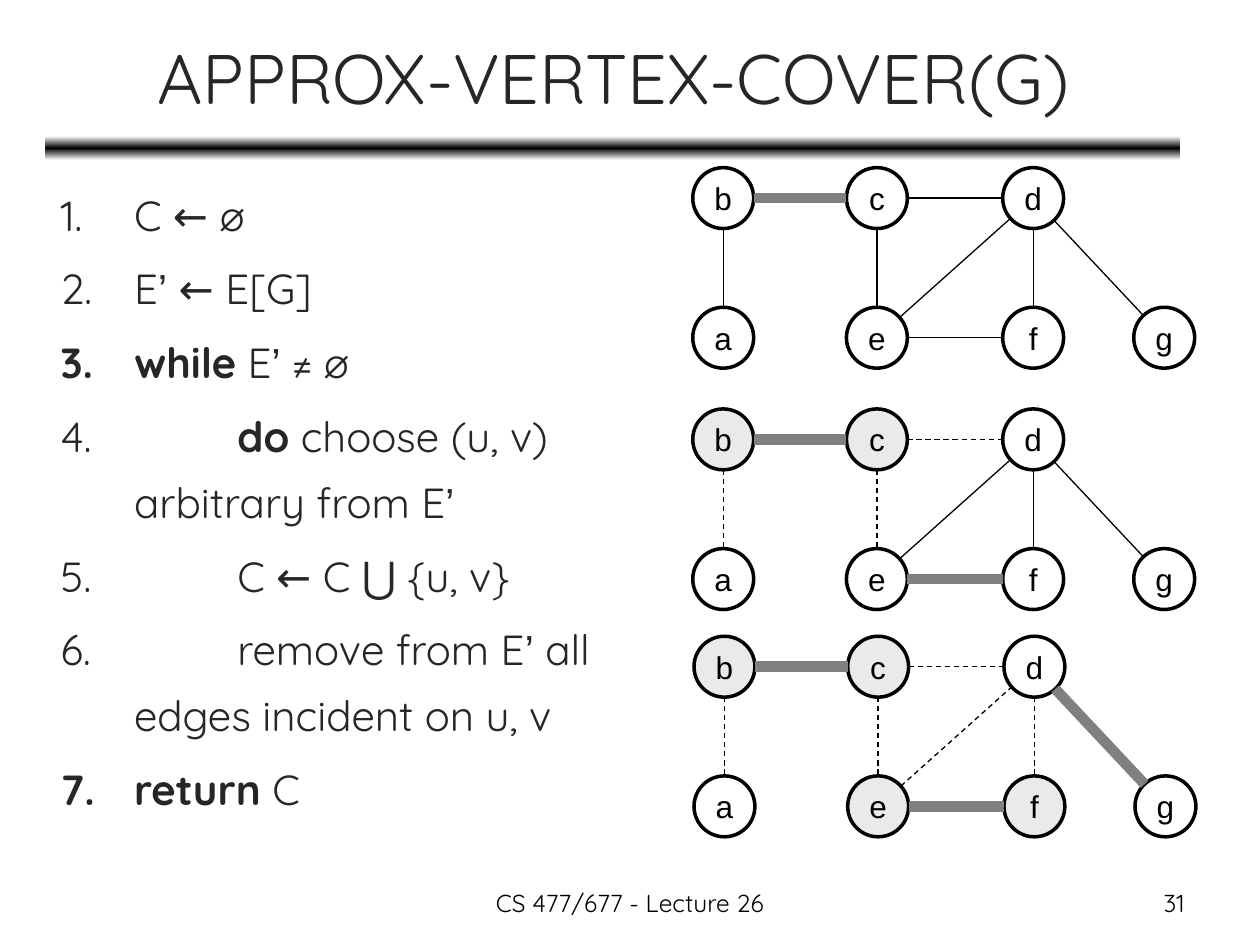
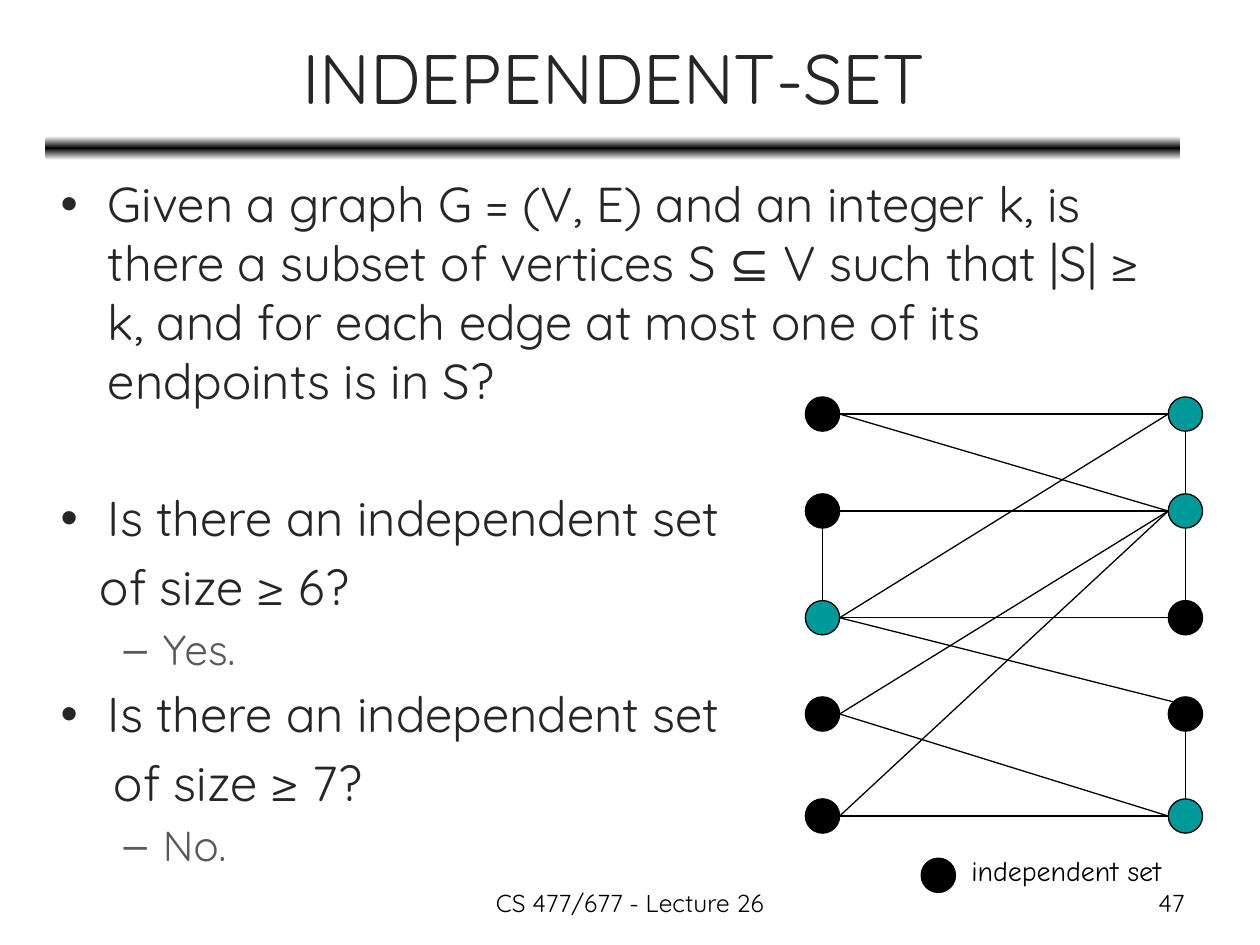
import math
from copy import deepcopy
from itertools import groupby

from pptx import Presentation
from pptx import util as u
from pptx.dml.color import RGBColor
from pptx.enum import dml, shapes, text
from pptx.oxml import ns
from pptx.oxml.xmlchemy import OxmlElement

Pt = u.Pt

# Shared look
BLACK = RGBColor(0x00, 0x00, 0x00)
WHITE = RGBColor(0xFF, 0xFF, 0xFF)
INK = RGBColor(0x26, 0x26, 0x26)
SOFT_INK = RGBColor(0x59, 0x59, 0x59)
GREY = RGBColor(0x80, 0x80, 0x80)
COVERED = RGBColor(0xEA, 0xEA, 0xEA)
TEAL = RGBColor(0x00, 0x99, 0x99)
MAIN_FONT, NODE_FONT, LEGEND_FONT = "Quicksand", "Arial", "Comic Neue"
FOOTER = "CS 477/677 - Lecture 26"
TITLE_BOX = (26.6, 8, 648, 71)
BAND_BOX = (26, 77.8, 648.7, 13.7)
FOOTER_BOX = (246, 504, 228, 25)
NUMBER_BOX = (516, 504, 168, 25)
CENTER, RIGHT = text.PP_ALIGN.CENTER, text.PP_ALIGN.RIGHT

# Algorithm steps: number, left edge, runs of (words, bold)
OUTER, INNER = 42, 101
STEPS = [
    (1, OUTER, [("C ← ∅", False)]),
    (2, OUTER, [("E’ ← E[G]", False)]),
    (3, OUTER, [("while", True), (" E’ ≠ ∅", False)]),
    # The plain space keeps the number of this step from turning bold
    (4, INNER - 6.5, [(" ", False), ("do", True), (" choose (u, v)", False)]),
    (None, OUTER, [("arbitrary from E’", False)]),
    (5, INNER, [("C ← C ⋃ {u, v}", False)]),
    (6, INNER, [("remove from E’ all", False)]),
    (None, OUTER, [("edges incident on u, v", False)]),
    (7, OUTER, [("return", True), (" C", False)]),
]

# Vertex cover graph and its three stages
COVER_RADIUS = 17.4
COVER_NODES = {
    "a": (413.3, 193), "b": (413.3, 113.2), "c": (501.1, 113.2),
    "d": (590.4, 113.2), "e": (501.1, 193), "f": (590.4, 193), "g": (665.3, 193),
}
COVER_EDGES = ["bc", "cd", "ba", "ce", "df", "ef", "ed", "dg"]
STAGES = [
    {"offset": (0, 0), "covered": "", "chosen": ["bc"], "removed": []},
    {"offset": (0, 137.9), "covered": "bc", "chosen": ["bc", "ef"],
     "removed": ["cd", "ba", "ce"]},
    {"offset": (0.7, 267.8), "covered": "bcef", "chosen": ["bc", "ef", "dg"],
     "removed": ["cd", "ba", "ce", "df", "ed"]},
]

# Independent set text: words, level, left edge if without bullet, space before
QUESTIONS = [
    ("Given a graph G = (V, E) and an integer k, is there a subset of vertices "
     "S ⊆ V such that |S| ≥ k, and for each edge at most one of its endpoints "
     "is in S?", 0, None, 0),
    ("Is there an independent set", 0, None, 44.8),
    ("of size ≥ 6?", 0, 22.5, 5.6),
    ("Yes.", 1, None, 4.8),
    ("Is there an independent set", 0, None, 5.6),
    ("of size ≥ 7?", 0, 30.5, 5.6),
    ("No.", 1, None, 4.8),
]
LEVEL_STYLES = [{"size": 28, "color": INK}, {"size": 24, "color": SOFT_INK}]

# Independent set graph
SET_RADIUS = 9.8
SET_COLUMNS = {"left": 470, "right": 677.4}
SET_ROWS = [236.6, 292, 353, 408, 466.3]
SET_MEMBERS = {"left": [0, 1, 3, 4], "right": [2, 3]}
CROSS_EDGES = [(0, 0), (0, 1), (1, 1), (2, 0), (2, 2), (2, 3),
               (3, 1), (3, 4), (4, 1), (4, 4)]
ARRIVAL_ANGLES = {(2, 3): 225}
COLUMN_EDGES = [("left", 1), ("right", 0), ("right", 1), ("right", 3)]
LEGEND_CENTER = (536.2, 500.2)


def points(values):
    return [Pt(value) for value in values]


def write(paragraph, words, size=24, color=BLACK, font=MAIN_FONT, bold=False):
    """Add words to a paragraph, setting apostrophes in the node font."""
    for is_apostrophe, letters in groupby(words, lambda letter: letter == "’"):
        run = paragraph.add_run()
        run.text = "".join(letters)
        run.font.name = NODE_FONT if is_apostrophe else font
        run.font.size = Pt(size)
        run.font.bold = bold
        run.font.color.rgb = color


def set_indent(paragraph, left, hanging=0, number=None):
    properties = paragraph._p.get_or_add_pPr()
    properties.set("marL", str(Pt(left)))
    properties.set("indent", str(-Pt(hanging)))
    if number is None:
        properties.append(OxmlElement("a:buNone"))
        return
    font = OxmlElement("a:buFont")
    font.set("typeface", MAIN_FONT)
    numbering = OxmlElement("a:buAutoNum")
    numbering.set("type", "arabicPeriod")
    numbering.set("startAt", str(number))
    properties.extend([font, numbering])


def next_paragraph(frame, index):
    return frame.paragraphs[0] if index == 0 else frame.add_paragraph()


def add_label(slide, box, words, align=None, wrap=True, **style):
    frame = slide.shapes.add_textbox(*points(box)).text_frame
    frame.word_wrap = wrap
    frame.paragraphs[0].alignment = align
    write(frame.paragraphs[0], words, **style)


def add_node(container, center, radius, fill, line_width, label=""):
    x, y = center
    box = points((x - radius, y - radius, 2 * radius, 2 * radius))
    node = container.add_shape(shapes.MSO_SHAPE.OVAL, *box)
    node.shadow.inherit = False
    node.fill.solid()
    node.fill.fore_color.rgb = fill
    node.line.color.rgb = BLACK
    node.line.width = Pt(line_width)
    if label:
        frame = node.text_frame
        frame.word_wrap = False
        frame.vertical_anchor = text.MSO_ANCHOR.MIDDLE
        frame.paragraphs[0].alignment = CENTER
        write(frame.paragraphs[0], label, size=18, font=NODE_FONT)


def border_point(center, radius, degrees):
    angle = math.radians(degrees)
    return center[0] + radius * math.cos(angle), center[1] + radius * math.sin(angle)


def add_edge(container, start, end, color=BLACK, width=0.75, dashed=False):
    edge = container.add_connector(shapes.MSO_CONNECTOR.STRAIGHT,
                                   *points((*start, *end)))
    edge.line.color.rgb = color
    edge.line.width = Pt(width)
    if dashed:
        edge.line.dash_style = dml.MSO_LINE.DASH
    edge._element.spPr.append(OxmlElement("a:effectLst"))


def add_band(slide):
    band = slide.shapes.add_shape(shapes.MSO_SHAPE.ROUNDED_RECTANGLE,
                                  *points(BAND_BOX))
    band.shadow.inherit = False
    band.line.fill.background()
    band.fill.gradient()
    band.fill.gradient_angle = 90
    stop_list = band._element.spPr.find(".//" + ns.qn("a:gsLst"))
    stop_list.insert(1, deepcopy(stop_list[0]))
    stops = zip(band.fill.gradient_stops, (0, 0.5, 1), (WHITE, BLACK, WHITE))
    for stop, position, color in stops:
        stop.position = position
        stop.color.rgb = color


def place(shape, box):
    shape.left, shape.top, shape.width, shape.height = points(box)
    shape.text_frame.auto_size = text.MSO_AUTO_SIZE.NONE
    return shape.text_frame


def add_lecture_slide(presentation, title, number, body_width):
    """Add the title, band and footer; return the slide and its body frame."""
    slide = presentation.slides.add_slide(presentation.slide_layouts[1])
    add_band(slide)
    frame = place(slide.shapes.title, TITLE_BOX)
    frame.vertical_anchor = text.MSO_ANCHOR.MIDDLE
    frame.paragraphs[0].alignment = CENTER
    write(frame.paragraphs[0], title, size=40, color=INK)
    add_label(slide, FOOTER_BOX, FOOTER, align=CENTER, size=14)
    add_label(slide, NUMBER_BOX, str(number), align=RIGHT, size=14)
    return slide, place(slide.placeholders[1], (27.4, 95.8, body_width, 399.6))


def add_cover_stage(slide, stage):
    container = slide.shapes.add_group_shape().shapes
    shift_x, shift_y = stage["offset"]
    centers = {name: (x + shift_x, y + shift_y)
               for name, (x, y) in COVER_NODES.items()}
    for name, center in centers.items():
        fill = COVERED if name in stage["covered"] else WHITE
        add_node(container, center, COVER_RADIUS, fill, 2, name)
    for edge in COVER_EDGES:
        start, end = (centers[name] for name in edge)
        angle = math.degrees(math.atan2(end[1] - start[1], end[0] - start[0]))
        chosen = edge in stage["chosen"]
        add_edge(container,
                 border_point(start, COVER_RADIUS, angle),
                 border_point(end, COVER_RADIUS, angle + 180),
                 color=GREY if chosen else BLACK,
                 width=6 if chosen else 0.75,
                 dashed=edge in stage["removed"])


def add_set_graph(slide):
    container = slide.shapes.add_group_shape().shapes
    centers = {(side, row): (x, y) for side, x in SET_COLUMNS.items()
               for row, y in enumerate(SET_ROWS)}
    for (side, row), center in centers.items():
        fill = BLACK if row in SET_MEMBERS[side] else TEAL
        add_node(container, center, SET_RADIUS, fill, 0.75)
    for left, right in CROSS_EDGES:
        arrival = ARRIVAL_ANGLES.get((left, right), 180)
        add_edge(container,
                 border_point(centers["left", left], SET_RADIUS, 0),
                 border_point(centers["right", right], SET_RADIUS, arrival))
    for side, row in COLUMN_EDGES:
        add_edge(container,
                 border_point(centers[side, row], SET_RADIUS, 90),
                 border_point(centers[side, row + 1], SET_RADIUS, 270))


def build_cover_slide(presentation):
    slide, body = add_lecture_slide(presentation, "APPROX-VERTEX-COVER(G)", 31, 420.5)
    for index, (number, left, runs) in enumerate(STEPS):
        paragraph = next_paragraph(body, index)
        set_indent(paragraph, left, left if number else 0, number)
        paragraph.line_spacing = 1.3
        paragraph.space_before = Pt(4.8 if number and index else 0)
        for words, bold in runs:
            write(paragraph, words, color=INK, bold=bold)
    for stage in STAGES:
        add_cover_stage(slide, stage)


def build_set_slide(presentation):
    slide, body = add_lecture_slide(presentation, "INDEPENDENT-SET", 47, 648)
    for index, (words, level, left, space) in enumerate(QUESTIONS):
        paragraph = next_paragraph(body, index)
        paragraph.level = level
        if left is not None:
            set_indent(paragraph, left)
        paragraph.space_before = Pt(space)
        write(paragraph, words, **LEVEL_STYLES[level])
    add_set_graph(slide)
    # Legend
    add_node(slide.shapes, LEGEND_CENTER, SET_RADIUS, BLACK, 0.75)
    add_label(slide, (548, 484, 134, 29.5), "independent set", wrap=False,
              size=16, font=LEGEND_FONT)


def main():
    presentation = Presentation()
    presentation.slide_width, presentation.slide_height = Pt(720), Pt(540)
    build_cover_slide(presentation)
    build_set_slide(presentation)
    presentation.save("out.pptx")


if __name__ == "__main__":
    main()
